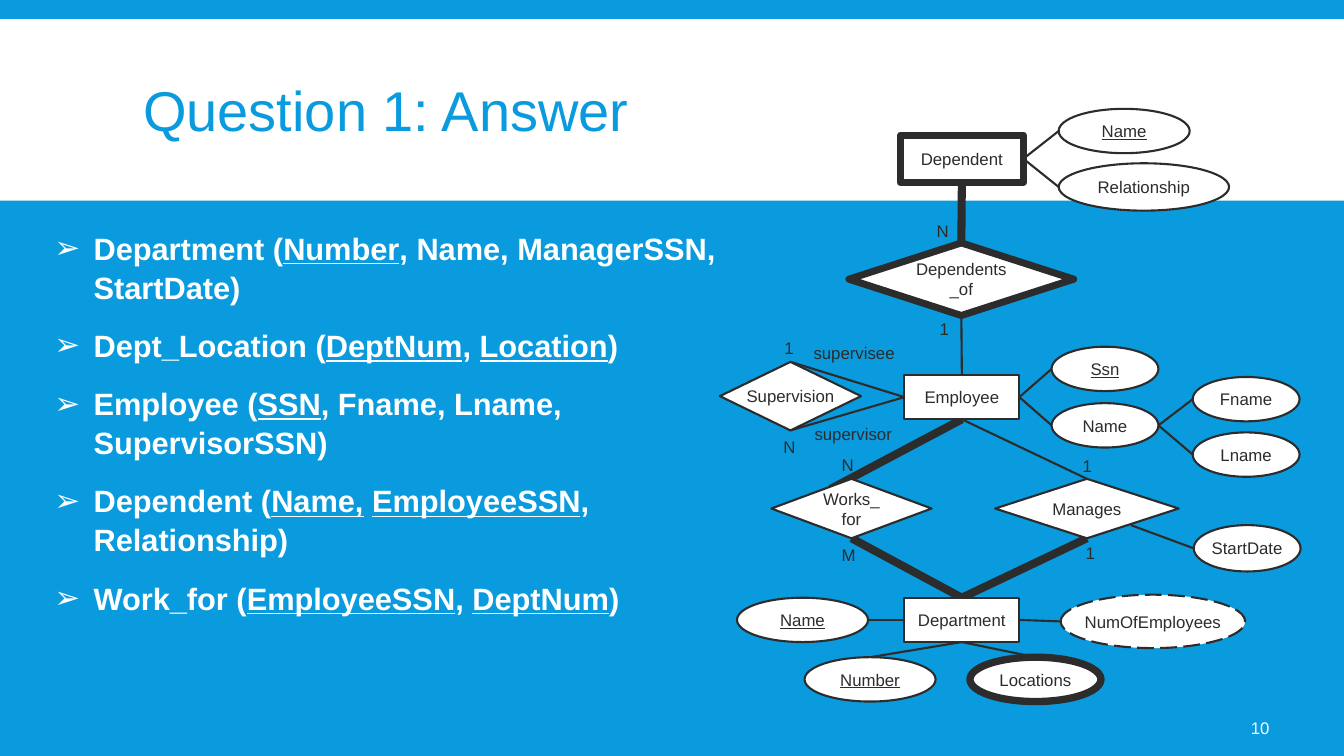
"""Build the Question 1 answer slide: relational schema beside its ER diagram."""
from dataclasses import dataclass

from lxml import etree
from pptx import Presentation
from pptx.dml.color import RGBColor
from pptx.enum.dml import MSO_LINE
from pptx.enum.shapes import MSO_CONNECTOR, MSO_SHAPE as Shape
from pptx.enum.text import MSO_ANCHOR as Anchor, PP_ALIGN as Align
from pptx.oxml.ns import qn
from pptx.util import Inches, Pt

BLUE = RGBColor(0x09, 0x9B, 0xDD)
WHITE = RGBColor(0xFF, 0xFF, 0xFF)
DARK = RGBColor(0x2C, 0x2C, 0x2C)
FONT = "Arial"
THIN, BOLD, HEAVY = 1.5, 5, 5.75

TOP, BOTTOM, LEFT, RIGHT = (0.5, 0), (0.5, 1), (0, 0.5), (1, 0.5)


@dataclass(frozen=True)
class Node:
    """An entity, relationship or attribute of the diagram."""
    text: str
    kind: Shape
    x: float
    y: float
    w: float
    h: float
    line: float = THIN
    key: bool = False
    derived: bool = False
    inset: float = 0.1
    wrap: bool = True

    def at(self, anchor):
        """Return the point at a fraction of the width and height."""
        return self.x + anchor[0] * self.w, self.y + anchor[1] * self.h


@dataclass(frozen=True)
class Link:
    """A line between anchors of two nodes."""
    start: str
    start_at: tuple
    end: str
    end_at: tuple
    width: float = THIN


@dataclass(frozen=True)
class Label:
    """A role or cardinality beside a line."""
    text: str
    x: float
    y: float
    w: float = 0.29


RECT, OVAL, DIAMOND = Shape.RECTANGLE, Shape.OVAL, Shape.DIAMOND

NODES = {
    "ssn": Node("Ssn", OVAL, 10.43, 3.44, 1.06, 0.44, key=True),
    "full_name": Node("Name", OVAL, 10.43, 4, 1.06, 0.44),
    "fname": Node("Fname", OVAL, 11.83, 3.74, 1.06, 0.44),
    "lname": Node("Lname", OVAL, 11.83, 4.29, 1.06, 0.44),
    "supervision": Node("Supervision", DIAMOND, 7.14, 3.59, 1.4, 0.68, inset=0, wrap=False),
    "start_date": Node("StartDate", OVAL, 11.84, 5.21, 1.06, 0.46, inset=0.04, wrap=False),
    "dept_name": Node("Name", OVAL, 7.31, 5.93, 1.3, 0.44, key=True),
    "number": Node("Number", OVAL, 7.98, 6.52, 1.3, 0.44, key=True),
    "locations": Node("Locations", OVAL, 9.62, 6.52, 1.3, 0.44, 5.25),
    "headcount": Node("NumOfEmployees", OVAL, 10.52, 5.9, 1.83, 0.53,
                      derived=True, inset=0, wrap=False),
    "dependent_name": Node("Name", OVAL, 10.5, 1.08, 1.3, 0.44, key=True),
    "relationship": Node("Relationship", OVAL, 10.5, 1.62, 1.69, 0.47),
    "employee": Node("Employee", RECT, 8.97, 3.72, 1.14, 0.44),
    "department": Node("Department", RECT, 8.97, 5.93, 1.14, 0.44),
    "dependent": Node("Dependent", RECT, 8.93, 1.34, 1.22, 0.47, BOLD),
    "works_for": Node("Works_for", DIAMOND, 7.65, 4.75, 1.59, 0.59),
    "manages": Node("Manages", DIAMOND, 9.87, 4.75, 1.82, 0.59),
    "dependents_of": Node("Dependents_of", DIAMOND, 8.42, 2.41, 2.23, 0.72, BOLD),
}

LINKS = [
    Link("employee", RIGHT, "ssn", LEFT),
    Link("employee", RIGHT, "full_name", LEFT),
    Link("full_name", RIGHT, "fname", LEFT),
    Link("full_name", RIGHT, "lname", LEFT),
    Link("employee", LEFT, "supervision", TOP),
    Link("employee", LEFT, "supervision", BOTTOM),
    Link("manages", (0.74, 0.78), "start_date", LEFT),
    Link("works_for", (0.37, 0.17), "employee", BOTTOM, HEAVY),
    Link("works_for", BOTTOM, "department", TOP, HEAVY),
    Link("manages", BOTTOM, "department", TOP, HEAVY),
    Link("headcount", LEFT, "department", RIGHT),
    Link("dept_name", RIGHT, "department", LEFT),
    Link("number", TOP, "department", BOTTOM),
    Link("locations", TOP, "department", BOTTOM),
    Link("employee", TOP, "dependents_of", BOTTOM),
    Link("employee", BOTTOM, "manages", TOP),
    Link("dependents_of", TOP, "dependent", BOTTOM, HEAVY),
    Link("dependent", RIGHT, "relationship", LEFT),
    Link("dependent", RIGHT, "dependent_name", LEFT),
]

LABELS = [
    Label("supervisor", 7.98, 4.15, 0.98),
    Label("supervisee", 7.97, 3.35, 1.01),
    Label("N", 9.19, 2.14, 0.32),
    Label("1", 9.22, 3.11),
    Label("1", 7.68, 3.3),
    Label("N", 7.67, 4.28, 0.32),
    Label("N", 8.25, 4.46),
    Label("M", 8.25, 5.36),
    Label("1", 10.64, 4.47),
    Label("1", 10.67, 5.34),
]

SCHEMA = [
    "Department (*Number*, Name, ManagerSSN, StartDate)",
    "Dept_Location (*DeptNum*, *Location*)",
    "Employee (*SSN*, Fname, Lname, SupervisorSSN)",
    "Dependent (*Name,* *EmployeeSSN*, Relationship)",
    "Work_for (*EmployeeSSN*, *DeptNum*)",
]


def set_font(p, size: float, color: RGBColor, bold: bool = False) -> None:
    """Format the font of a paragraph."""
    p.font.name, p.font.size, p.font.bold = FONT, Pt(size), bold
    p.font.color.rgb = color


def add_bullet(p) -> None:
    """Give a paragraph a white arrow bullet with a hanging indent."""
    pPr = p._p.get_or_add_pPr()
    pPr.set("marL", str(Inches(0.39)))
    pPr.set("indent", str(-Inches(0.39)))
    clr = etree.Element(qn("a:buClr"))
    etree.SubElement(clr, qn("a:srgbClr"), val=str(WHITE))
    font = etree.Element(qn("a:buFont"), typeface=FONT)
    char = etree.Element(qn("a:buChar"), char="\u27a2")
    for i, element in enumerate((clr, font, char)):
        pPr.insert(len(pPr.findall(qn("a:lnSpc")) + pPr.findall(qn("a:spcBef"))
                       + pPr.findall(qn("a:spcAft"))) + i, element)


def add_text(s, text: str, x: float, y: float, w: float, h: float, size: float, color: RGBColor):
    """Add a one-line text box and return its text frame."""
    tf = s.shapes.add_textbox(Inches(x), Inches(y), Inches(w), Inches(h)).text_frame
    tf.word_wrap = False
    tf.text = text
    set_font(tf.paragraphs[0], size, color)
    return tf


def add_schema(s) -> None:
    """List the relations, underlining their keys."""
    tf = s.shapes.add_textbox(Inches(0.44), Inches(2.21), Inches(6.77), Inches(4.94)).text_frame
    tf.word_wrap = True
    for i, relation in enumerate(SCHEMA):
        p = tf.add_paragraph() if i else tf.paragraphs[0]
        p.space_before, p.space_after, p.line_spacing = Pt(12), Pt(2), 1.05
        add_bullet(p)
        set_font(p, 22, WHITE, bold=True)
        for j, part in enumerate(relation.split("*")):
            r = p.add_run()
            r.text = part
            r.font.underline = j % 2 == 1


def add_link(s, link: Link) -> None:
    """Draw the line of a link."""
    ends = NODES[link.start].at(link.start_at) + NODES[link.end].at(link.end_at)
    c = s.shapes.add_connector(MSO_CONNECTOR.STRAIGHT, *map(Inches, ends))
    c.line.color.rgb, c.line.width = DARK, Pt(link.width)
    etree.SubElement(c._element.spPr, qn("a:effectLst"))


def add_node(s, node: Node) -> None:
    """Draw a node with its centred name."""
    sp = s.shapes.add_shape(node.kind, *map(Inches, (node.x, node.y, node.w, node.h)))
    sp.shadow.inherit = False
    sp.fill.solid()
    sp.fill.fore_color.rgb = WHITE
    sp.line.color.rgb, sp.line.width = DARK, Pt(node.line)
    if node.derived:
        sp.line.dash_style = MSO_LINE.LONG_DASH
    tf = sp.text_frame
    tf.text, tf.word_wrap, tf.vertical_anchor = node.text, node.wrap, Anchor.MIDDLE
    tf.margin_left = tf.margin_right = Inches(node.inset)
    p = tf.paragraphs[0]
    p.alignment = Align.CENTER
    set_font(p, 12, DARK)
    p.runs[0].font.underline = node.key


def add_header(s) -> None:
    """Draw the white band and set the title on it."""
    band = s.shapes.add_shape(RECT, 0, Inches(0.19), Inches(13.33), Inches(1.8))
    band.shadow.inherit = False
    band.fill.solid()
    band.fill.fore_color.rgb = WHITE
    band.line.fill.background()
    title = s.shapes.title
    band.element.addnext(title.element)
    title.left, title.top, title.width, title.height = map(Inches, (1.32, 0.31, 10.7, 1.65))
    tf = title.text_frame
    tf.text, tf.vertical_anchor = "Question 1: Answer", Anchor.MIDDLE
    p = tf.paragraphs[0]
    p.alignment, p.line_spacing = Align.LEFT, 0.85
    set_font(p, 40, BLUE)


def main() -> None:
    """Build and save the slide."""
    prs = Presentation()
    prs.slide_width, prs.slide_height = Inches(13.33), Inches(7.5)
    s = prs.slides.add_slide(prs.slide_layouts[5])
    s.background.fill.solid()
    s.background.fill.fore_color.rgb = BLUE
    add_header(s)
    add_schema(s)
    tf = add_text(s, "10", 11.66, 7.02, 1.03, 0.4, 12, WHITE)
    tf.word_wrap, tf.vertical_anchor = True, Anchor.MIDDLE
    tf.paragraphs[0].alignment = Align.RIGHT
    for link in LINKS:
        add_link(s, link)
    for node in NODES.values():
        add_node(s, node)
    for label in LABELS:
        add_text(s, label.text, label.x, label.y, label.w, 0.3, 12, DARK)
    prs.save("out.pptx")


main()
